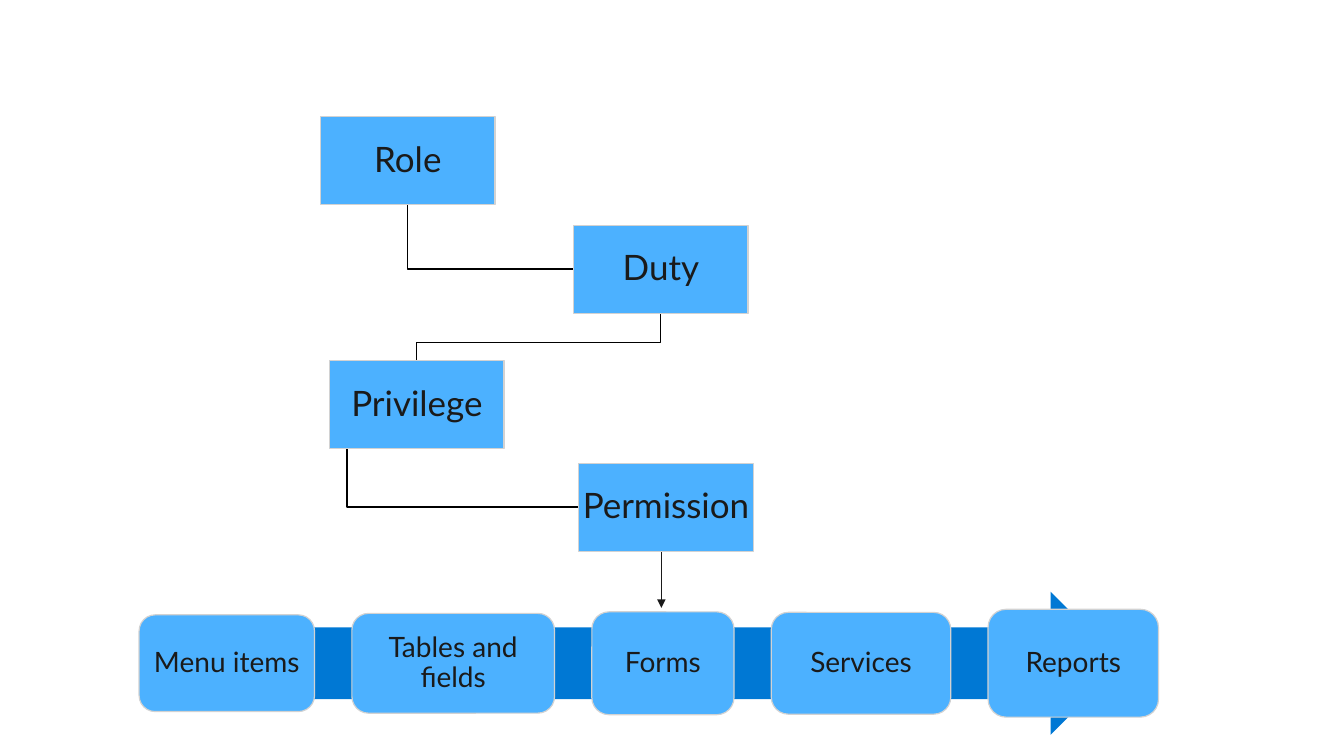
import pptx
import pptx.util
import pptx.dml.color
import pptx.enum.shapes
import pptx.enum.text
import pptx.oxml
import pptx.oxml.ns

PX = 9144  # EMU per px, 100 px to the inch
FONT = "Lato"
COLORS = {"box": "4CB1FF", "arrow": "0078D4", "border": "D2D2D2",
          "text": "1A1A1A", "link": "000000"}
SHAPE = pptx.enum.shapes.MSO_SHAPE


def px(length):
    return pptx.util.Emu(round(length * PX))


def color(name):
    return pptx.dml.color.RGBColor.from_string(COLORS[name])


def set_line(line, name, points):
    line.color.rgb = color(name)
    line.width = pptx.util.Pt(points)


def add_box(page, kind, left, top, width, height, text, size, inset):
    box = page.shapes.add_shape(kind, px(left), px(top), px(width), px(height))
    box.shadow.inherit = False
    box.fill.solid()
    box.fill.fore_color.rgb = color("box")
    set_line(box.line, "border", 0.85)
    frame = box.text_frame
    frame.word_wrap = True
    frame.vertical_anchor = pptx.enum.text.MSO_ANCHOR.MIDDLE
    frame.margin_left = frame.margin_right = px(inset)
    frame.margin_top = frame.margin_bottom = px(inset)
    para = frame.paragraphs[0]
    para.text = text
    para.alignment = pptx.enum.text.PP_ALIGN.CENTER
    para.line_spacing = 0.9
    para.font.name = FONT
    para.font.size = pptx.util.Pt(size)
    para.font.color.rgb = color("text")


def add_link(page, points):
    builder = page.shapes.build_freeform(*points[0], scale=PX)
    builder.add_line_segments(points[1:], close=False)
    link = builder.convert_to_shape()
    link.shadow.inherit = False
    link.fill.background()
    set_line(link.line, "link", 1)


def add_security_tree(page, left, top):
    width, height = 173, 87
    levels = {"Role": (left, top), "Duty": (left + 251, top + 108),
              "Privilege": (left + 9, top + 242),
              "Permission": (left + 256, top + 344)}
    (role_x, role_y), (duty_x, duty_y), (priv_x, priv_y), (perm_x, perm_y) = levels.values()
    half, middle = width // 2, height // 2
    stem_x, bend_y = priv_x + 17, priv_y - 18

    # Links between levels
    add_link(page, [(stem_x, priv_y + height), (stem_x, perm_y + middle),
                    (perm_x, perm_y + middle)])
    add_link(page, [(duty_x + half, duty_y + height), (duty_x + half, bend_y),
                    (priv_x + half, bend_y), (priv_x + half, priv_y)])
    add_link(page, [(role_x + half, role_y + height), (role_x + half, duty_y + middle),
                    (duty_x, duty_y + middle)])

    # Levels
    for name, (x, y) in levels.items():
        add_box(page, SHAPE.RECTANGLE, x, y, width, height, name, 25, 2)


def add_object_band(page, left, top):
    arrow_height, gap = 142, 37
    arrow = page.shapes.add_shape(SHAPE.RIGHT_ARROW, px(left + 36), px(top),
                                  px(939), px(arrow_height))
    arrow.shadow.inherit = False
    arrow.fill.solid()
    arrow.fill.fore_color.rgb = color("arrow")
    arrow.line.fill.background()

    # Securable objects, centred on the arrow
    objects = [("Menu items", 174, 96), ("Tables and fields", 201, 99),
               ("Forms", 141, 102), ("Services", 178, 101), ("Reports", 169, 107)]
    x = left
    for name, width, height in objects:
        add_box(page, SHAPE.ROUNDED_RECTANGLE, x, top + (arrow_height - height) / 2,
                width, height, name, 20, 8)
        x += width + gap


def add_down_arrow(page, x, top, bottom):
    arrow = page.shapes.add_connector(pptx.enum.shapes.MSO_CONNECTOR.STRAIGHT,
                                      px(x), px(top), px(x), px(bottom))
    set_line(arrow.line, "text", 1)
    tail = pptx.oxml.parse_xml(
        f'<a:tailEnd {pptx.oxml.ns.nsdecls("a")} type="triangle"/>')
    arrow.line._get_or_add_ln().append(tail)
    arrow._element.spPr.append(
        pptx.oxml.parse_xml(f'<a:effectLst {pptx.oxml.ns.nsdecls("a")}/>'))


def main():
    deck = pptx.Presentation()
    deck.slide_width, deck.slide_height = px(1333), px(750)
    page = deck.slides.add_slide(deck.slide_layouts[6])
    add_object_band(page, 138, 587)
    add_security_tree(page, 318, 116)
    add_down_arrow(page, 656, 548, 603)
    deck.save("out.pptx")


if __name__ == "__main__":
    main()
